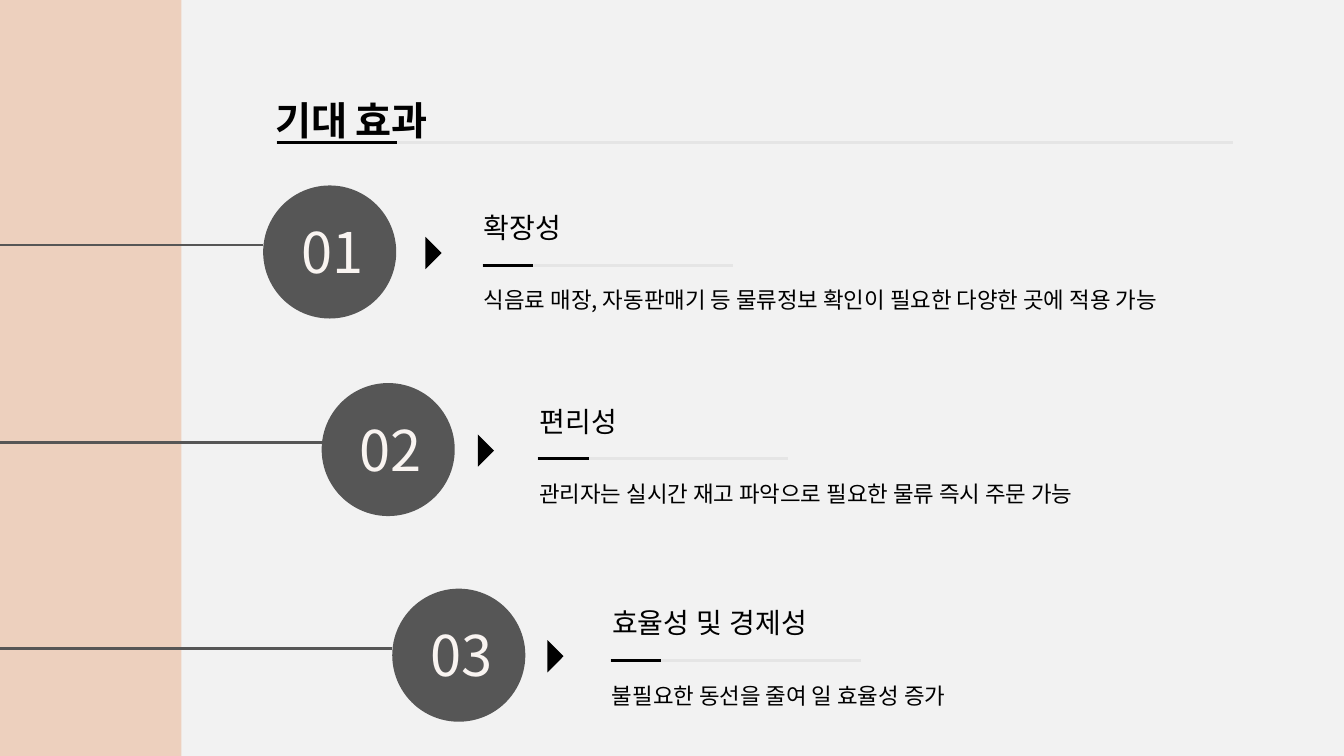
from lxml import etree
from pptx import Presentation
from pptx.dml.color import RGBColor
from pptx.enum.shapes import MSO_CONNECTOR, MSO_SHAPE
from pptx.enum.text import MSO_ANCHOR, MSO_AUTO_SIZE
from pptx.oxml.ns import qn
from pptx.util import Emu, Pt

STRAIGHT = MSO_CONNECTOR.STRAIGHT
RECTANGLE = MSO_SHAPE.RECTANGLE
OVAL = MSO_SHAPE.OVAL
TOP = MSO_ANCHOR.TOP
GROW = MSO_AUTO_SIZE.SHAPE_TO_FIT_TEXT
FIXED = MSO_AUTO_SIZE.NONE

SCALE = 9144
SANS = "Noto Sans CJK KR"
SLAB = "Roboto Slab"
BLACK = "000000"
PALE_GRAY = "E5E5E5"
DARK_GRAY = "565656"
BACKGROUND = "F2F2F2"
PEACH = "EDD0BE"
CREAM = "F9F4F1"


def px(length):
    return Emu(length * SCALE)


def color(code):
    return RGBColor.from_string(code)


class EffectsSlide:
    def __init__(self, deck):
        self.slide = deck.slides.add_slide(deck.slide_layouts[6])
        fill = self.slide.background.fill
        fill.solid()
        fill.fore_color.rgb = color(BACKGROUND)

    def paint(self, shape, code):
        shape.shadow.inherit = False
        shape.fill.solid()
        shape.fill.fore_color.rgb = color(code)
        shape.line.fill.background()

    def shape(self, kind, left, top, width, height, code):
        self.paint(self.slide.shapes.add_shape(
            kind, px(left), px(top), px(width), px(height)), code)

    def rule(self, start, end, y, code):
        line = self.slide.shapes.add_connector(
            STRAIGHT, px(start), px(y), px(end), px(y))
        line.line.color.rgb = color(code)
        line.line.width = Pt(2)
        etree.SubElement(line._element.spPr, qn("a:effectLst"))

    def underline(self, left, y, width, accent):
        self.rule(left, left + width, y, PALE_GRAY)
        self.rule(left + 1, left + 1 + accent, y, BLACK)

    def arrow(self, left, middle):
        outline = self.slide.shapes.build_freeform(left, middle - 16, scale=SCALE)
        outline.add_line_segments(
            [(left + 16, middle), (left, middle + 16)], close=True)
        self.paint(outline.convert_to_shape(), BLACK)

    def text(self, words, left, top, width, height, size, font=SANS,
             code=BLACK, bold=False, spacing=1.0, inset=None):
        box = self.slide.shapes.add_textbox(
            px(left), px(top), px(width), px(height))
        frame = box.text_frame
        frame.word_wrap = True
        frame.vertical_anchor = TOP
        frame.auto_size = GROW if inset is None else FIXED
        if inset is not None:
            frame.margin_left = frame.margin_right = px(inset)
            frame.margin_top = frame.margin_bottom = px(inset)
        paragraph = frame.paragraphs[0]
        paragraph.line_spacing = spacing
        run = paragraph.add_run()
        run.text = words
        run.font.size = Pt(size)
        run.font.bold = bold
        run.font.color.rgb = color(code)
        run.font.name = font
        east_asian = etree.SubElement(run._r.get_or_add_rPr(), qn("a:ea"))
        east_asian.set("typeface", font)

    def effect(self, number, circle_left, circle_top, arrow_left,
               text_left, text_top, heading, detail):
        self.rule(0, circle_left, circle_top + 59, DARK_GRAY)
        self.shape(OVAL, circle_left, circle_top, 132, 132, DARK_GRAY)
        self.text(number, circle_left + 28, circle_top + 27, 144, 77, 40,
                  code=CREAM)
        self.arrow(arrow_left, circle_top + 67)
        self.text(heading, text_left, text_top, 491, 46, 20, SLAB, inset=4)
        self.underline(text_left + 2, text_top + 58, 249, 50)
        self.text(detail, text_left, text_top + 62, 730, 80, 16,
                  spacing=1.5, inset=4)


def main():
    deck = Presentation()
    deck.slide_width = px(1333)
    deck.slide_height = px(750)
    page = EffectsSlide(deck)
    page.shape(RECTANGLE, 0, 0, 180, 750, PEACH)
    page.text("기대 효과", 263, 67, 476, 74, 28, bold=True, spacing=1.5)
    page.underline(274, 141, 949, 119)

    effects = [
        (261, 184, 422, 476, 205, "확장성",
         "식음료 매장, 자동판매기 등 물류정보 확인이 필요한 다양한 곳에 적용 가능"),
        (319, 380, 474, 531, 397, "편리성",
         "관리자는 실시간 재고 파악으로 필요한 물류 즉시 주문 가능"),
        (389, 584, 543, 603, 597, "효율성 및 경제성",
         "불필요한 동선을 줄여 일 효율성 증가"),
    ]
    for order, effect in enumerate(effects, 1):
        page.effect(f"{order:02d}", *effect)

    deck.save("out.pptx")


if __name__ == "__main__":
    main()
